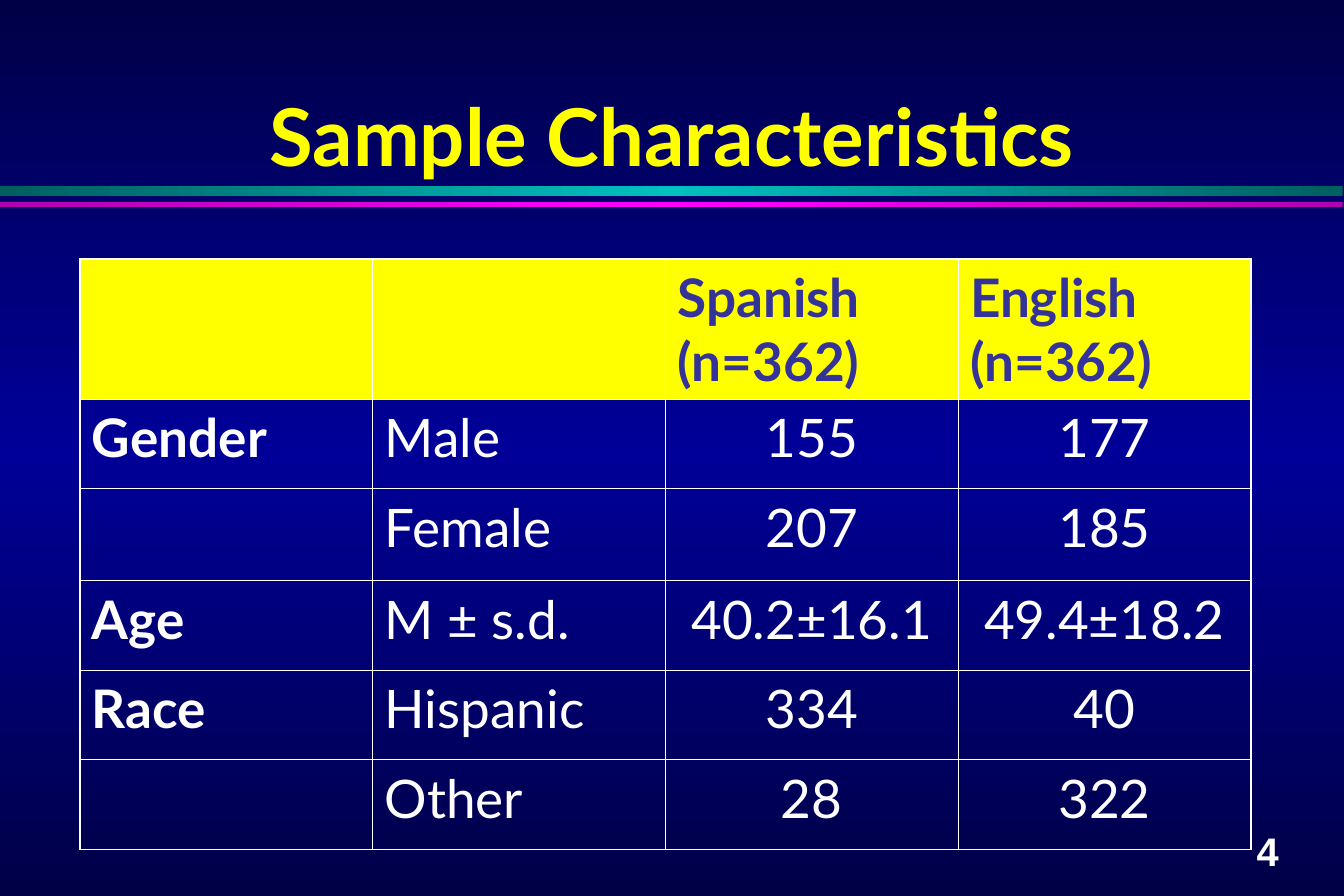
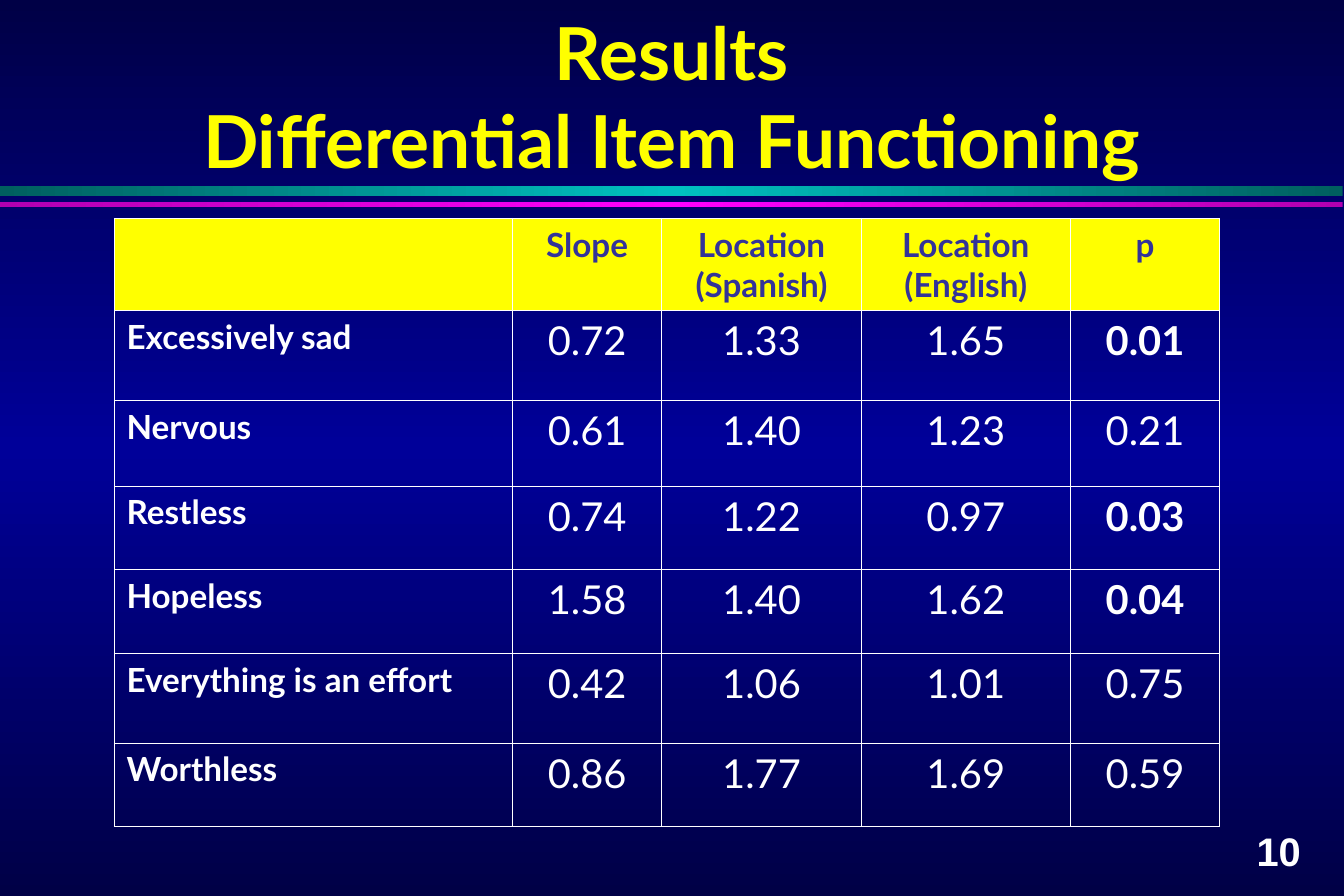
from copy import deepcopy

from lxml import etree
from pptx import Presentation
from pptx.dml.color import RGBColor
from pptx.enum import shapes, text
from pptx.oxml.ns import qn
from pptx.util import Inches, Pt

COLORS = {
    "night": "000046", "blue": "000099",
    "dark_teal": "005F5F", "teal": "00C0C0",
    "purple": "B100B1", "magenta": "FF00FF",
    "yellow": "FFFF00", "indigo": "333399", "white": "FFFFFF",
}
FONT = "Lato"
NUMBER_FONT = "Arial"
INNER_LINE, OUTER_LINE = 0.45, 1.08
LEFT, CENTER = text.PP_ALIGN.LEFT, text.PP_ALIGN.CENTER


def rgb(name):
    return RGBColor.from_string(COLORS[name])


def set_gradient(fill, owner, edge, middle, angle):
    """Blend from edge to middle and back to edge."""
    fill.gradient()
    fill.gradient_angle = angle
    stop_list = owner.find(".//" + qn("a:gsLst"))
    stop_list.insert(1, deepcopy(stop_list[0]))
    blend = zip(fill.gradient_stops, (0, 0.5, 1), (edge, middle, edge))
    for stop, position, color in blend:
        stop.position = position
        stop.color.rgb = rgb(color)


def format_paragraphs(frame, size, color, bold=True, align=LEFT, font=FONT):
    for paragraph in frame.paragraphs:
        paragraph.alignment = align
        for run in paragraph.runs:
            run.font.name = font
            run.font.size = Pt(size)
            run.font.bold = bold
            run.font.color.rgb = rgb(color)


def add_band(slide, top, height, edge, middle):
    band = slide.shapes.add_shape(
        shapes.MSO_SHAPE.RECTANGLE, 0, Inches(top), Inches(11.24), Inches(height))
    band.shadow.inherit = False
    band.line.fill.background()
    set_gradient(band.fill, band.element, edge, middle, 0)


def add_page_number(slide, number):
    box = slide.shapes.add_textbox(
        Inches(10.42), Inches(6.87), Inches(0.58), Inches(0.5))
    frame = box.text_frame
    frame.word_wrap = False
    frame.text = str(number)
    format_paragraphs(frame, 24, "white", font=NUMBER_FONT)


def add_base_slide(prs, heading, heading_size, number):
    slide = prs.slides.add_slide(prs.slide_layouts[5])
    set_gradient(slide.background.fill, slide.element, "night", "blue", 90)
    add_band(slide, 1.56, 0.08, "dark_teal", "teal")
    add_band(slide, 1.69, 0.04, "purple", "magenta")
    add_page_number(slide, number)

    title = slide.shapes.title
    title.left, title.top = 0, Inches(0.33)
    title.width, title.height = Inches(11.25), Inches(1.25)
    frame = title.text_frame
    frame.auto_size = text.MSO_AUTO_SIZE.NONE
    frame.vertical_anchor = text.MSO_ANCHOR.BOTTOM
    frame.text = heading
    format_paragraphs(frame, heading_size, "yellow", align=CENTER)
    return slide


def set_borders(cell, outer_sides):
    properties = cell._tc.get_or_add_tcPr()
    for side in "LRTB":
        points = OUTER_LINE if side in outer_sides else INNER_LINE
        line = etree.SubElement(
            properties, qn("a:ln" + side), w=str(int(Pt(points))))
        fill = etree.SubElement(line, qn("a:solidFill"))
        etree.SubElement(fill, qn("a:srgbClr"), val=COLORS["white"])


def add_data_table(slide, left, top, widths, heights, rows, label_size,
                   value_size, label_columns, header_align, is_bold):
    table = slide.shapes.add_table(
        len(rows), len(widths), Inches(left), Inches(top),
        Inches(sum(widths)), Inches(sum(heights))).table
    table.first_row = table.horz_banding = False
    for column, width in zip(table.columns, widths):
        column.width = Inches(width)
    for row, height in zip(table.rows, heights):
        row.height = Inches(height)

    last_row, last_column = len(rows) - 1, len(widths) - 1
    for r, row in enumerate(rows):
        for c, content in enumerate(row):
            cell = table.cell(r, c)
            edges = {"L": c == 0, "R": c == last_column,
                     "T": r == 0, "B": r == last_row}
            set_borders(cell, [side for side, outer in edges.items() if outer])
            cell.text = content
            if r == 0:
                cell.fill.solid()
                cell.fill.fore_color.rgb = rgb("yellow")
                format_paragraphs(cell.text_frame, label_size, "indigo",
                                  align=header_align)
            else:
                cell.fill.background()
                format_paragraphs(
                    cell.text_frame, label_size if c == 0 else value_size,
                    "white", c == 0 or is_bold(c, content),
                    LEFT if c < label_columns else CENTER)


def add_sample_slide(prs):
    slide = add_base_slide(prs, "Sample Characteristics", 48, 4)
    rows = [
        ("", "", "Spanish (n=362)", "English (n=362)"),
        ("Gender", "Male", "155", "177"),
        ("", "Female", "207", "185"),
        ("Age", "M ± s.d.", "40.2±16.1", "49.4±18.2"),
        ("Race", "Hispanic", "334", "40"),
        ("", "Other", "28", "322"),
    ]
    add_data_table(
        slide, 0.67, 2.17, [2.45] * 4, [1.17, 0.75, 0.77, 0.75, 0.75, 0.75],
        rows, label_size=32, value_size=32, label_columns=2,
        header_align=LEFT, is_bold=lambda column, content: False)


def add_results_slide(prs):
    slide = add_base_slide(
        prs, "Results\vDifferential Item Functioning", 44, 10)
    rows = [
        ("", "Slope", "Location\n(Spanish)", "Location\n(English)", "p"),
        ("Excessively sad", "0.72", "1.33", "1.65", "0.01"),
        ("Nervous", "0.61", "1.40", "1.23", "0.21"),
        ("Restless", "0.74", "1.22", "0.97", "0.03"),
        ("Hopeless", "1.58", "1.40", "1.62", "0.04"),
        ("Everything is an effort", "0.42", "1.06", "1.01", "0.75"),
        ("Worthless", "0.86", "1.77", "1.69", "0.59"),
    ]
    p_column = rows[0].index("p")
    add_data_table(
        slide, 0.96, 1.83, [3.33, 1.25, 1.67, 1.75, 1.25],
        [0.77, 0.75, 0.72, 0.7, 0.7, 0.75, 0.7],
        rows, label_size=20, value_size=24, label_columns=1,
        header_align=CENTER,
        is_bold=lambda column, content: column == p_column and float(content) < 0.05)


def main():
    prs = Presentation()
    prs.slide_width, prs.slide_height = Inches(11.25), Inches(7.5)
    add_sample_slide(prs)
    add_results_slide(prs)
    prs.save("out.pptx")


if __name__ == "__main__":
    main()
